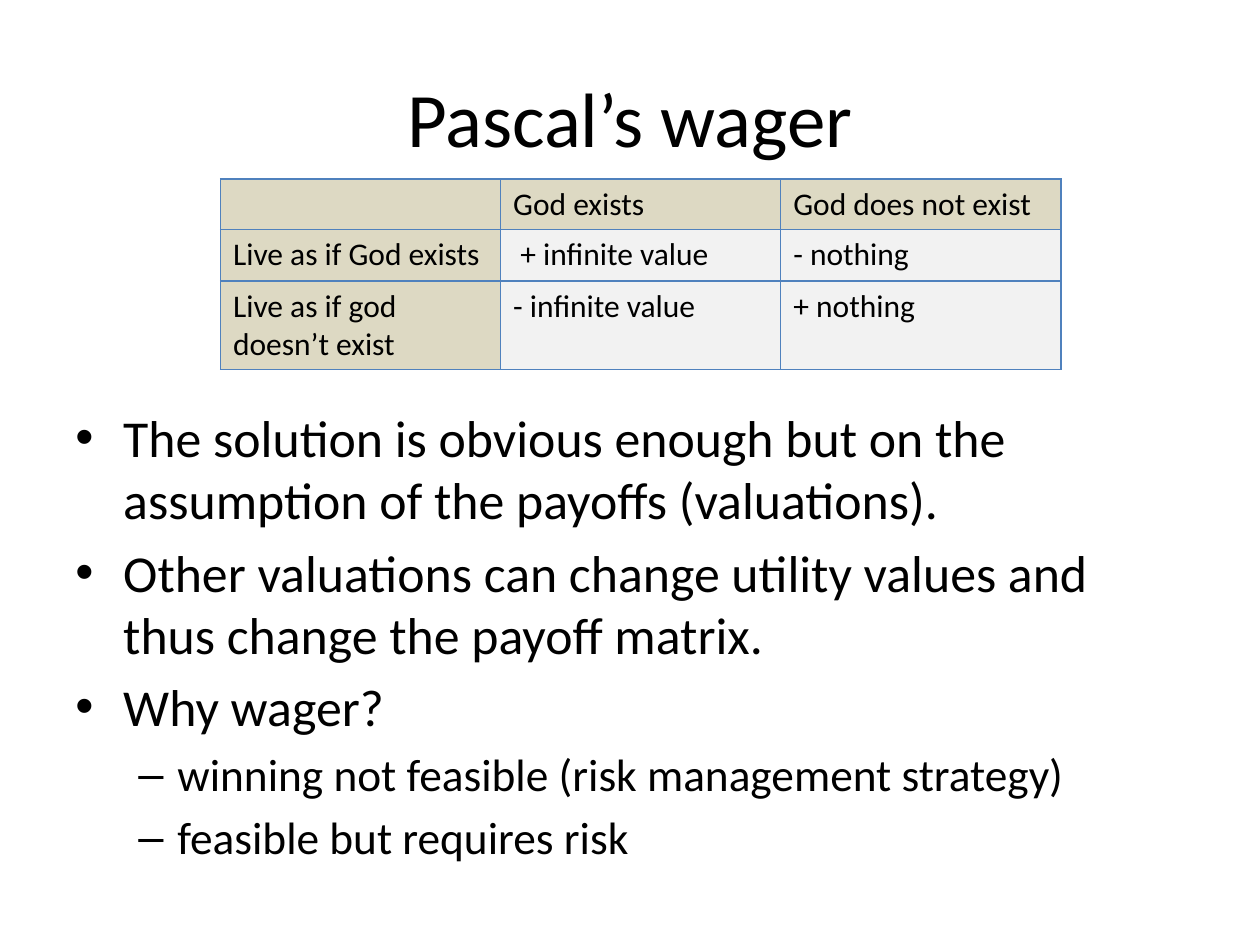
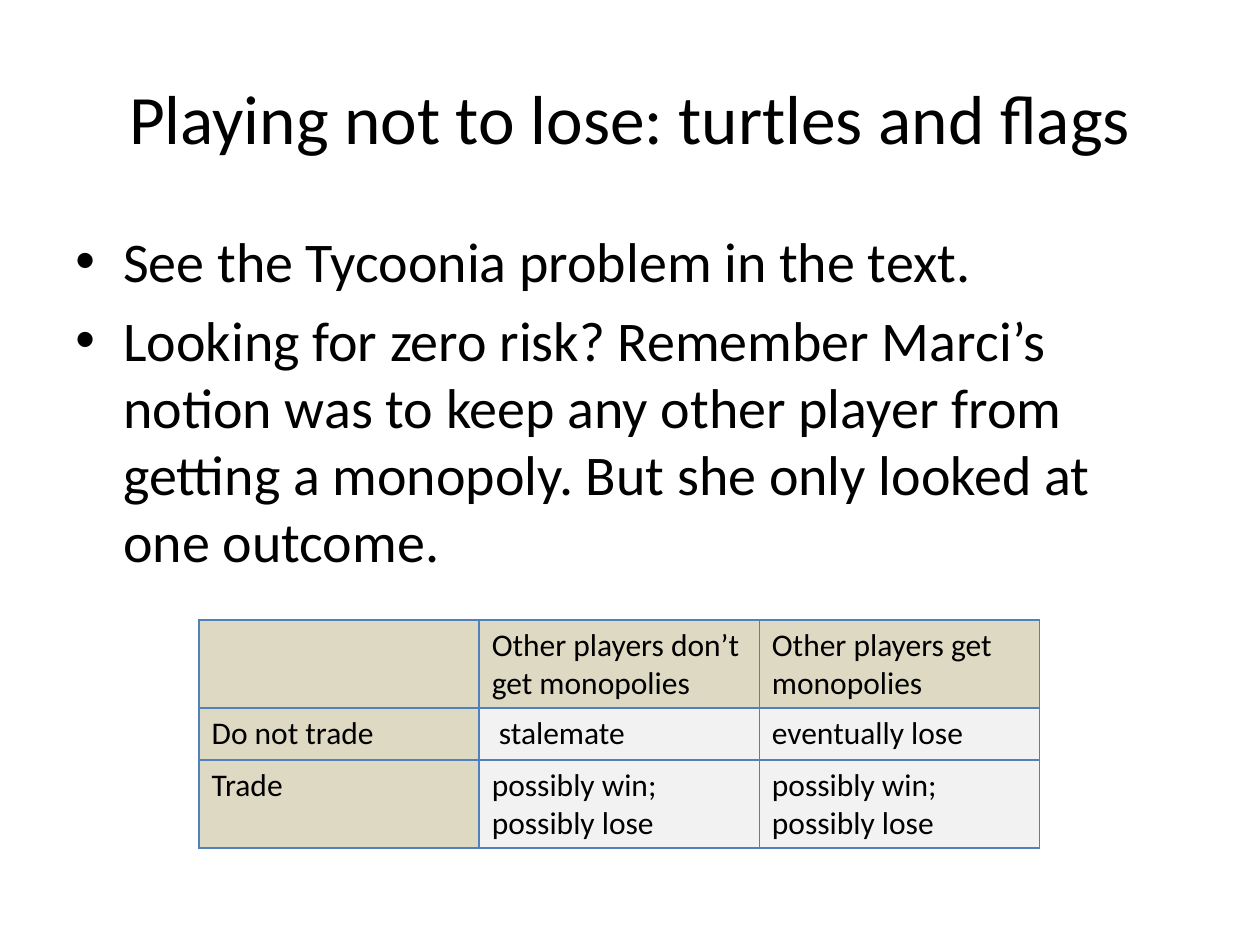
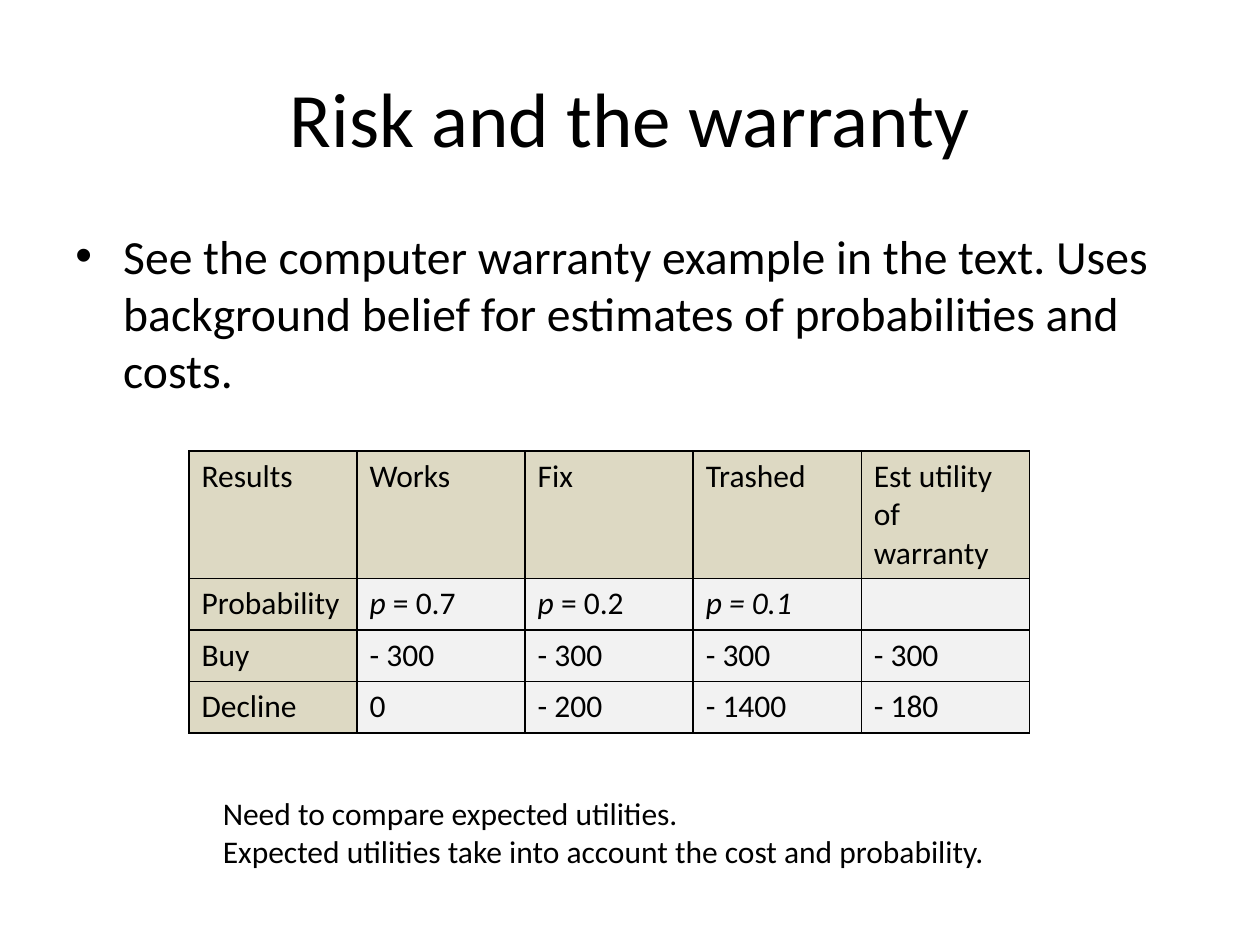
from lxml.etree import SubElement
from pptx import Presentation
from pptx.dml.color import RGBColor
from pptx.enum.text import MSO_ANCHOR as Anchor, PP_ALIGN as Align
from pptx.oxml.ns import qn
from pptx.util import Inches, Pt

FONT = "Calibri"
BLACK = RGBColor(0x00, 0x00, 0x00)
BLUE = RGBColor(0x4F, 0x81, 0xBD)
TAN = RGBColor(0xDD, 0xD9, 0xC3)
PALE = RGBColor(0xF2, 0xF2, 0xF2)

LEFT, WIDTH = 0.5, 9
TABLE_WIDTH = 6.67
TABLE_SIZE = 18
# Bullet sign, left margin and hanging indent for each outline level
BULLETS = [("•", 0.38, -0.38), ("–", 0.81, -0.31)]


def write(frame, lines, size=18, align=Align.LEFT, anchor=Anchor.TOP,
          wrap=True, level=None, new=True):
    """Add lines to a frame; *asterisks* mark italics, level sets the bullet."""
    frame.word_wrap = wrap
    frame.vertical_anchor = anchor
    for index, line in enumerate(lines):
        first = new and index == 0
        para = frame.paragraphs[0] if first else frame.add_paragraph()
        para.alignment = align
        if level is not None:
            sign, margin, indent = BULLETS[level]
            para.level = level
            para.space_before = Pt(0 if first else round(size * 0.2, 1))
            props = para._p.get_or_add_pPr()
            props.set("marL", str(Inches(margin)))
            props.set("indent", str(Inches(indent)))
            SubElement(props, qn("a:buFont"), typeface="Arial")
            SubElement(props, qn("a:buChar"), char=sign)
        para.font.size = Pt(size)
        for part, text in enumerate(line.split("*")):
            if text:
                span = para.add_run()
                span.text = text
                span.font.name = FONT
                span.font.size = Pt(size)
                span.font.color.rgb = BLACK
                span.font.italic = part % 2 == 1


def set_borders(cell, color):
    props = cell._tc.get_or_add_tcPr()
    for index, side in enumerate(("lnL", "lnR", "lnT", "lnB")):
        line = props.makeelement(qn(f"a:{side}"), {"w": str(Pt(1))})
        fill = SubElement(line, qn("a:solidFill"))
        SubElement(fill, qn("a:srgbClr"), val=str(color))
        props.insert(index, line)


SLIDES = [
    {
        "title": "Pascal’s wager", "title_size": 44,
        "body_top": 3.17, "body_height": 3.75,
        "body": [
            (0, 29.6, ["The solution is obvious enough but on the assumption of "
                       "the payoffs (valuations).",
                       "Other valuations can change utility values and thus "
                       "change the payoff matrix.",
                       "Why wager?"]),
            (1, 25.9, ["winning not feasible (risk management strategy)",
                       "feasible but requires risk"]),
        ],
        "table_at": (1.75, 1.42), "border": BLUE,
        "row_heights": [0.4, 0.41, 0.7],
        "rows": [
            ["", "God exists", "God does not exist"],
            ["Live as if God exists", " + infinite value", "- nothing"],
            ["Live as if god doesn’t exist", "- infinite value", "+ nothing"],
        ],
    },
    {
        "title": "Playing not to lose: turtles and flags", "title_size": 39.6,
        "body_top": 1.75, "body_height": 2.92,
        "body": [
            (0, 32, ["See the Tycoonia problem in the text.",
                     "Looking for zero risk? Remember Marci’s notion was to keep "
                     "any other player from getting a monopoly. But she only "
                     "looked at one outcome."]),
        ],
        "table_at": (1.58, 4.92), "border": BLUE,
        "row_heights": [0.7, 0.41, 0.7],
        "rows": [
            ["", "Other players don’t get monopolies",
             "Other players get monopolies"],
            ["Do not trade", " stalemate", "eventually lose"],
            ["Trade", "possibly win; possibly lose",
             "possibly win; possibly lose"],
        ],
    },
    {
        "title": "Risk and the warranty", "title_size": 44,
        "body_top": 1.75, "body_height": 1.25,
        "body": [
            (0, 27.2, ["See the computer warranty example in the text. Uses "
                       "background belief for estimates of probabilities and "
                       "costs."]),
        ],
        "table_at": (1.5, 3.58), "border": BLACK,
        "row_heights": [1.01, 0.41, 0.41, 0.41],
        "rows": [
            ["Results", "Works", "Fix", "Trashed", "Est utility of warranty"],
            ["Probability", "*p *= 0.7", "*p *= 0.2", "*p = 0.1*", ""],
            ["Buy", "- 300", "- 300", "- 300", "- 300"],
            ["Decline", "0", "- 200", "- 1400", "- 180"],
        ],
    },
]

deck = Presentation()
deck.slide_width, deck.slide_height = Inches(10), Inches(7.5)

for content in SLIDES:
    page = deck.slides.add_slide(deck.slide_layouts[6])

    title = page.shapes.add_textbox(
        Inches(LEFT), Inches(0.3), Inches(WIDTH), Inches(1.25))
    write(title.text_frame, [content["title"]], size=content["title_size"],
          align=Align.CENTER, anchor=Anchor.MIDDLE)

    body = page.shapes.add_textbox(
        Inches(LEFT), Inches(content["body_top"]),
        Inches(WIDTH), Inches(content["body_height"]))
    for group, (level, size, lines) in enumerate(content["body"]):
        write(body.text_frame, lines, size=size, level=level, new=group == 0)

    rows, heights = content["rows"], content["row_heights"]
    left, top = content["table_at"]
    table = page.shapes.add_table(
        len(rows), len(rows[0]), Inches(left), Inches(top),
        Inches(TABLE_WIDTH), Inches(sum(heights))).table
    for row_index, (row, height) in enumerate(zip(rows, heights)):
        table.rows[row_index].height = Inches(height)
        for column_index, text in enumerate(row):
            cell = table.cell(row_index, column_index)
            is_header = row_index == 0 or column_index == 0
            cell.fill.solid()
            cell.fill.fore_color.rgb = TAN if is_header else PALE
            write(cell.text_frame, [text], size=TABLE_SIZE)
            set_borders(cell, content["border"])

summary = page.shapes.add_textbox(
    Inches(1.67), Inches(6.25), Inches(6.27), Inches(0.71))
write(summary.text_frame,
      ["Need to compare expected utilities.",
       "Expected utilities take into account the cost and probability."],
      wrap=False)

deck.save("out.pptx")
